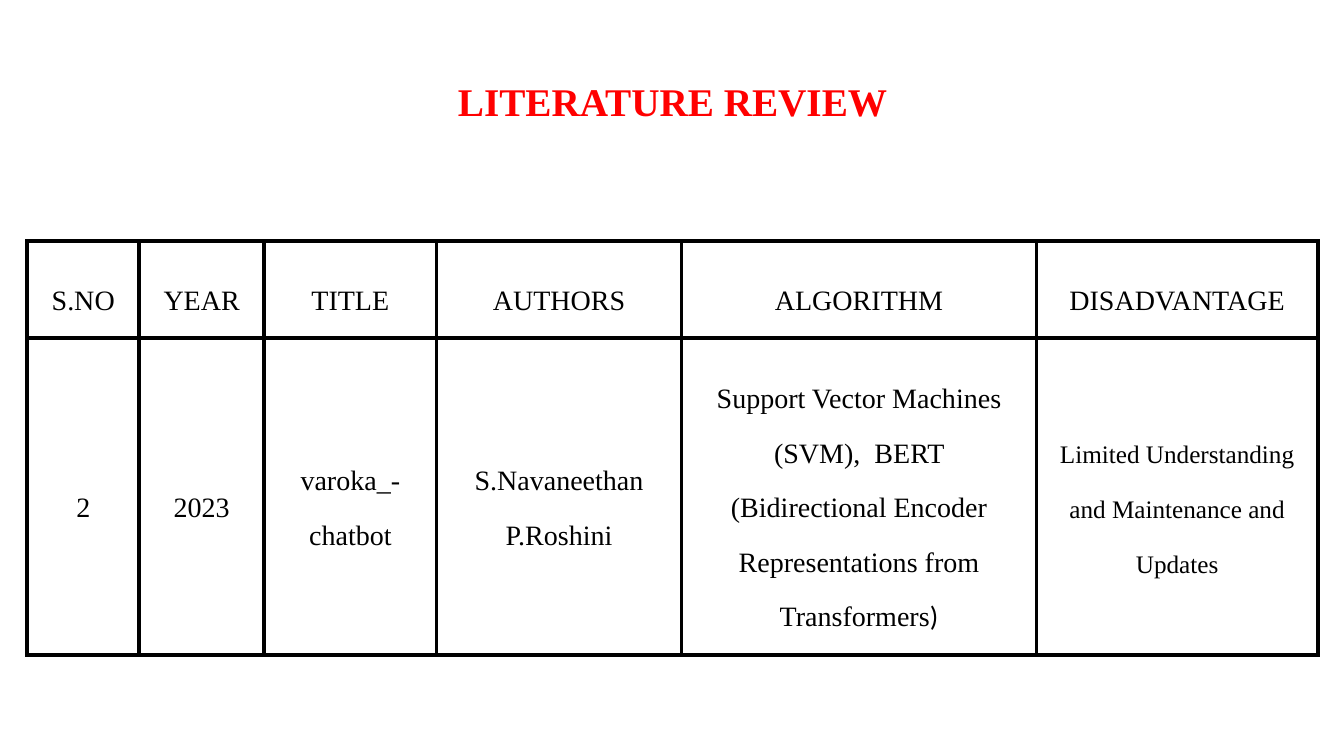
"""Build the literature review slide."""
from dataclasses import dataclass

from pptx import Presentation, util as u
from pptx.dml.color import RGBColor
from pptx.enum import text
from pptx.oxml import ns, xmlchemy


@dataclass(frozen=True)
class Theme:
    """Colours, fonts, sizes and spacing in points."""
    accent: str = "FF0000"
    ink: str = "000000"
    font: str = "Times New Roman"
    alt_font: str = "Calibri"
    title: float = 28
    body: float = 20
    small: float = 18
    leading: float = 39.2
    border: float = 3


@dataclass(frozen=True)
class Box:
    """A rectangle in percent of the slide's size."""
    left: float
    top: float
    width: float
    height: float


@dataclass(frozen=True)
class Column:
    """A table column, its width in percent of the slide's width."""
    heading: str
    entry: str
    width: float
    size: float
    tail: str = ""


THEME = Theme()
SLIDE_W, SLIDE_H = u.Inches(13.33), u.Inches(7.5)
TITLE_BOX = Box(6.9, 4.13, 86.27, 19.33)
TABLE_BOX = Box(2.03, 31.87, 96.1, 52.67)
ROW_HEIGHTS = (9.07, 25.6)
CELL_INSET = u.Inches(0.21)
COLUMNS = (
    Column("S.NO", "2", 8.33, THEME.body),
    Column("YEAR", "2023", 9.3, THEME.body),
    Column("TITLE", "varoka_-chatbot", 12.83, THEME.body),
    Column("AUTHORS", "S.Navaneethan\nP.Roshini", 18.23, THEME.body),
    Column("ALGORITHM", "Support Vector Machines (SVM),  BERT (Bidirectional Encoder "
           "Representations from Transformers", 26.41, THEME.body, ")"),
    Column("DISADVANTAGE", "Limited Understanding and Maintenance and Updates",
           20.93, THEME.small),
)


def across(share: float) -> int:
    """Turn a percentage of the slide's width into a length."""
    return round(SLIDE_W * share / 100)


def down(share: float) -> int:
    """Turn a percentage of the slide's height into a length."""
    return round(SLIDE_H * share / 100)


def frame(box: Box) -> tuple[int, int, int, int]:
    """Return left, top, width and height as lengths."""
    return across(box.left), down(box.top), across(box.width), down(box.height)


def style_run(r, size: float, color: str, font: str = THEME.font, bold: bool = False) -> None:
    """Format one run."""
    r.font.size, r.font.name, r.font.bold = u.Pt(size), font, bold
    r.font.color.rgb = RGBColor.from_string(color)


def add_title(s, words: str) -> None:
    """Fill and place the title placeholder."""
    sp = s.shapes.title
    sp.left, sp.top, sp.width, sp.height = frame(TITLE_BOX)
    tf = sp.text_frame
    tf.text, tf.vertical_anchor = words, text.MSO_ANCHOR.MIDDLE
    p = tf.paragraphs[0]
    p.alignment, p.line_spacing = text.PP_ALIGN.CENTER, 0.9
    style_run(p.runs[0], THEME.title, THEME.accent, bold=True)


def add_borders(cell) -> None:
    """Draw a solid line on each side of a cell."""
    tc_pr = cell._tc.get_or_add_tcPr()
    for side in ("lnL", "lnR", "lnT", "lnB"):
        ln = xmlchemy.OxmlElement(f"a:{side}")
        ln.set("w", str(u.Pt(THEME.border)))
        fill = xmlchemy.OxmlElement("a:solidFill")
        color = xmlchemy.OxmlElement("a:srgbClr")
        color.set("val", THEME.ink)
        fill.append(color)
        ln.append(fill)
        tc_pr.append(ln)
    assert tc_pr.find(ns.qn("a:lnB")) is not None


def fill_cell(cell, words: str, size: float, tail: str = "") -> None:
    """Write and format one table cell."""
    cell.margin_left = cell.margin_right = CELL_INSET
    cell.margin_top = cell.margin_bottom = CELL_INSET
    cell.vertical_anchor = text.MSO_ANCHOR.MIDDLE
    add_borders(cell)
    cell.fill.background()
    tf = cell.text_frame
    tf.text = words
    for p in tf.paragraphs:
        p.alignment, p.line_spacing = text.PP_ALIGN.CENTER, u.Pt(THEME.leading)
        style_run(p.runs[0], size, THEME.ink)
    if tail:
        r = tf.paragraphs[-1].add_run()
        r.text = tail
        style_run(r, size, THEME.ink, THEME.alt_font)


def add_review(s, columns: tuple[Column, ...]) -> None:
    """Add the table of reviewed work."""
    sp = s.shapes.add_table(len(ROW_HEIGHTS), len(columns), *frame(TABLE_BOX))
    table = sp.table
    table.first_row = table.horz_banding = False
    for row, height in zip(table.rows, ROW_HEIGHTS):
        row.height = down(height)
    for i, column in enumerate(columns):
        table.columns[i].width = across(column.width)
        fill_cell(table.cell(0, i), column.heading, THEME.body)
        fill_cell(table.cell(1, i), column.entry, column.size, column.tail)
    sp.height = down(TABLE_BOX.height)


def main() -> None:
    """Build and save the slide."""
    prs = Presentation()
    prs.slide_width, prs.slide_height = SLIDE_W, SLIDE_H
    s = prs.slides.add_slide(prs.slide_layouts.get_by_name("Title Only"))
    add_title(s, "LITERATURE REVIEW")
    add_review(s, COLUMNS)
    prs.save("out.pptx")


if __name__ == "__main__":
    main()
